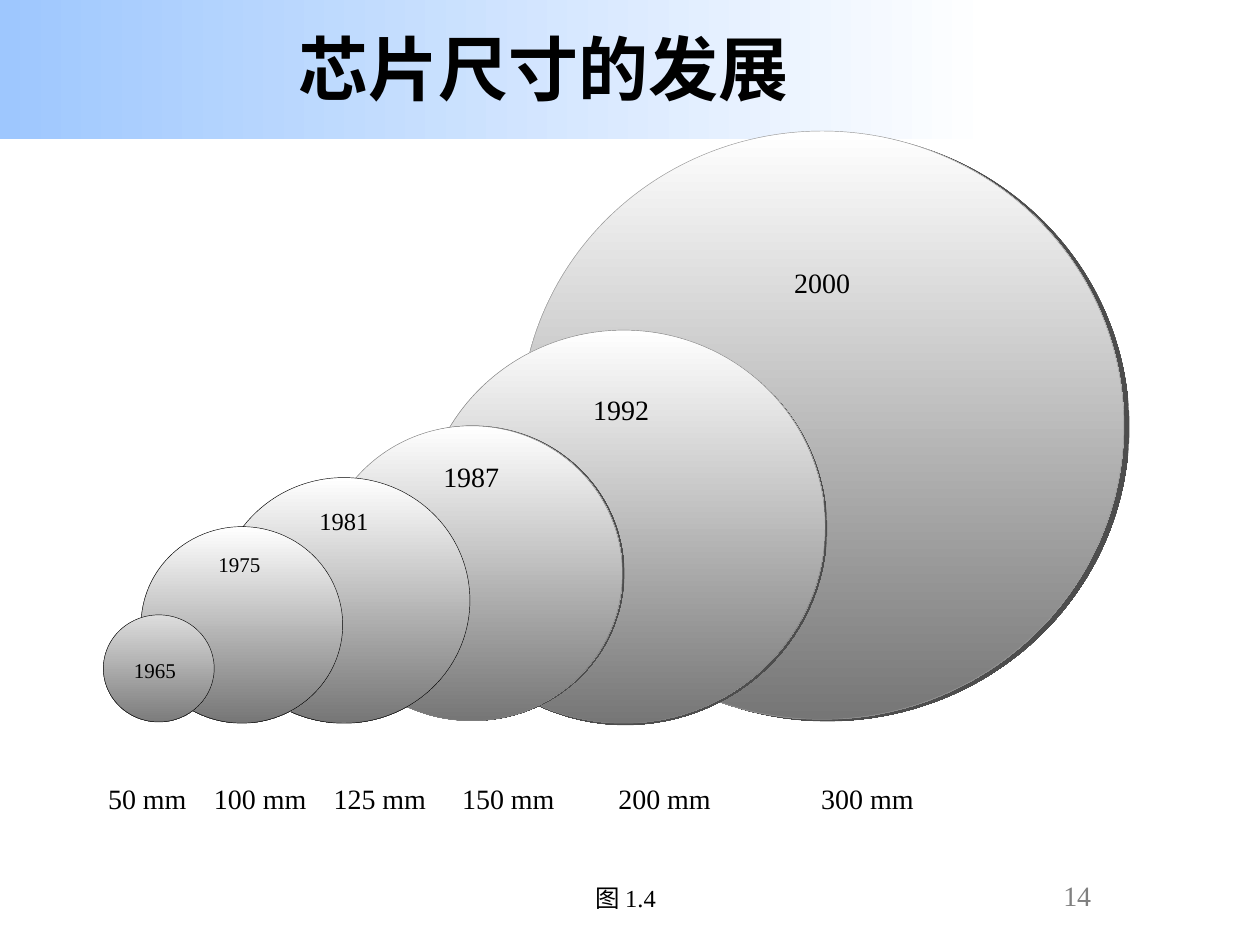
from lxml import etree
from pptx import Presentation
from pptx import util as u
from pptx.dml.color import RGBColor
from pptx.enum import shapes, text
from pptx.oxml import ns

PX = 9144
BLACK = RGBColor(0, 0, 0)
WHITE = RGBColor(255, 255, 255)
SKY = RGBColor(0x9E, 0xC7, 0xFE)
PALE = RGBColor(0xDD, 0xDD, 0xDD)
STEEL = RGBColor(0x76, 0x76, 0x76)
SLATE = RGBColor(0x7C, 0x7C, 0x7C)
SILVER = RGBColor(0x96, 0x96, 0x96)
GREY = RGBColor(0x80, 0x80, 0x80)
SHADE = RGBColor(0x4D, 0x4D, 0x4D)
SERIF = "Times New Roman"
LEFT = text.PP_ALIGN.LEFT
MID = text.PP_ALIGN.CENTER

DISCS = [
    ("2000", (413, 104, 479, 467), 102, 0, 16, SILVER, (3.2, 18)),
    ("1992", (335, 262, 320, 312), 45, -2, 16, GREY, (1.4, 45)),
    ("1987", (254, 338, 240, 234), 22, 0, 16, GREY, (1, 0)),
    ("1981", (173, 379, 200, 195), 18, 0, 14, BLACK, None),
    ("1975", (112, 418, 160, 156), 15, -2, 12, BLACK, None),
    ("1965", (82, 488, 88, 85), 29, -3, 12, BLACK, None),
]
SIZES = ["50 mm", "100 mm", "125 mm", "150 mm", "200 mm", "300 mm"]
STOPS = [84, 179, 281, 405, 566]


def scale(box):
    """Turn a box in px into EMU."""
    return [u.Emu(n * PX) for n in box]


def style(para, size, font=SERIF, color=BLACK, bold=False, align=LEFT):
    """Format one paragraph."""
    para.alignment = align
    face = para.font
    face.size, face.name, face.bold = u.Pt(size), font, bold
    face.color.rgb = color


def write(slide, box, words, size, tabs=(), **form):
    """Add a line of text, with tab stops if given."""
    frame = slide.shapes.add_textbox(*scale(box)).text_frame
    frame.word_wrap = False
    para = frame.paragraphs[0]
    para.text = words
    if tabs:
        props = para._p.get_or_add_pPr()
        stops = etree.SubElement(props, ns.qn("a:tabLst"))
        for stop in tabs:
            etree.SubElement(stops, ns.qn("a:tab"), pos=str(stop * PX), algn="l")
    style(para, size, **form)


def blend(slide, kind, box, start, end, angle):
    """Add a shape with a two-colour gradient and no line."""
    shape = slide.shapes.add_shape(kind, *scale(box))
    shape.shadow.inherit = False
    shape.fill.gradient()
    shape.fill.gradient_angle = angle
    for stop, color in zip(shape.fill.gradient_stops, (start, end)):
        stop.color.rgb = color
    shape.line.fill.background()
    return shape


def cast(shape, dist, angle):
    """Give a shape a hard drop shadow."""
    effects = shape._element.spPr.find(ns.qn("a:effectLst"))
    drop = etree.SubElement(effects, ns.qn("a:outerShdw"), blurRad="0",
                            dist=str(u.Pt(dist)), dir=str(angle * 60000),
                            algn="ctr", rotWithShape="0")
    etree.SubElement(drop, ns.qn("a:srgbClr"), val=str(SHADE))


def header(slide, box):
    """Place the title over its colour band."""
    x, y, w, h = box
    band = blend(slide, shapes.MSO_SHAPE.RECTANGLE, box, SKY, WHITE, 0)
    title = slide.shapes.title
    title._element.addprevious(band._element)
    title.left, title.top, title.width, title.height = scale((x + 75, y + 9, w - 75, 100))
    frame = title.text_frame
    frame.text = "芯片尺寸的发展"
    frame.vertical_anchor = text.MSO_ANCHOR.MIDDLE
    para = frame.paragraphs[0]
    para.line_spacing = 0.85
    style(para, 40, font="Arial", bold=True, align=MID)


def disc(slide, box, year, drop, shift, size, edge, shadow, tones):
    """Place one wafer with its year."""
    x, y, w, h = box
    shape = blend(slide, shapes.MSO_SHAPE.OVAL, box, *tones, 270)
    shape.line.color.rgb = edge
    shape.line.width = u.Pt(0.25)
    if shadow:
        cast(shape, *shadow)
    write(slide, (x + shift, y + drop, w, 37), year, size, align=MID)


def wafers(slide):
    """Place the wafers from the newest to the oldest."""
    for year, box, drop, shift, size, edge, shadow in DISCS:
        tones = (PALE, SLATE) if year == "1965" else (WHITE, STEEL)
        disc(slide, box, year, drop, shift, size, edge, shadow, tones)


def footer(slide, box):
    """Place the diameters, the caption and the page number."""
    x, y, w, h = box
    write(slide, (x, y, 660, 37), "\t".join(SIZES), 16, tabs=STOPS)
    write(slide, (x + 384, y + 81, 73, 57), "图 1.4", 14, align=MID)
    write(slide, (x + 758, y + 77, 112, 37), "14", 16, color=GREY)


def main():
    """Build the slide."""
    deck = Presentation()
    deck.slide_width, deck.slide_height = scale((1000, 750))
    slide = deck.slides.add_slide(deck.slide_layouts[5])
    header(slide, (0, 0, 788, 110))
    wafers(slide)
    footer(slide, (76, 615, 870, 135))
    deck.save("out.pptx")


if __name__ == "__main__":
    main()
